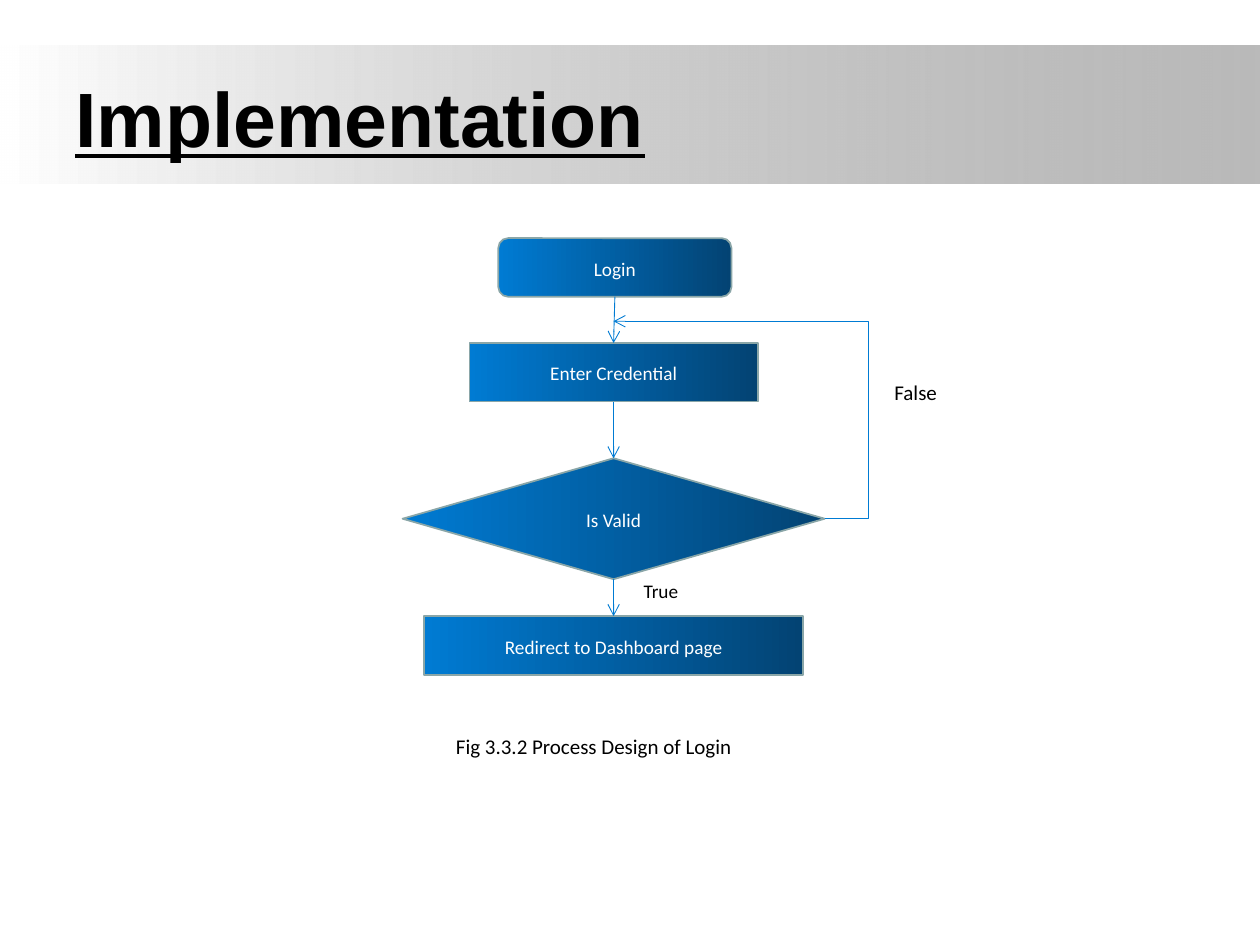
import pptx
import pptx.dml.color
import pptx.enum.shapes
import pptx.enum.text
import pptx.oxml
import pptx.oxml.ns
import pptx.util
from lxml import etree

RGBColor = pptx.dml.color.RGBColor
SHAPE = pptx.enum.shapes.MSO_SHAPE
CONNECTOR = pptx.enum.shapes.MSO_CONNECTOR
ANCHOR = pptx.enum.text.MSO_ANCHOR
ALIGN = pptx.enum.text.PP_ALIGN
Pt = pptx.util.Pt
qn = pptx.oxml.ns.qn

WHITE = RGBColor(0xFF, 0xFF, 0xFF)
BLACK = RGBColor(0x00, 0x00, 0x00)
GRAY = RGBColor(0x80, 0x80, 0x80)
BLUE = RGBColor(0x00, 0x7B, 0xD3)
NAVY = RGBColor(0x03, 0x43, 0x73)
EDGE = RGBColor(0x8A, 0xA6, 0xA8)

deck = pptx.Presentation()
deck.slide_width = pptx.util.Inches(10)
deck.slide_height = pptx.util.Inches(7.5)
COL = deck.slide_width / 100
ROW = deck.slide_height / 100
slide = deck.slides.add_slide(deck.slide_layouts[6])
shapes = slide.shapes


def grid(left, top, width, height):
    """Turn columns and rows of a 100 by 100 grid into slide lengths."""
    return int(left * COL), int(top * ROW), int(width * COL), int(height * ROW)


def write(holder, text, size, color, font="Calibri", anchor=ANCHOR.TOP, align=ALIGN.LEFT):
    frame = holder.text_frame
    frame.word_wrap = True
    frame.vertical_anchor = anchor
    paragraph = frame.paragraphs[0]
    paragraph.alignment = align
    if font == "Calibri":
        paragraph.line_spacing = 1.08
        paragraph.space_after = Pt(8)
    run = paragraph.add_run()
    run.text = text
    run.font.size = Pt(size)
    run.font.name = font
    run.font.color.rgb = color
    return run


# Title over a band that fades in from the left
band = shapes.add_shape(SHAPE.RECTANGLE, *grid(0, 4.8, 100, 14.67))
band.shadow.inherit = False
band.line.fill.background()
band.fill.gradient()
band.fill.gradient_angle = 0
for stop, color in zip(band.fill.gradient_stops, (WHITE, GRAY)):
    stop.color.rgb = color
gray_stop = band._element.spPr.findall(".//" + qn("a:srgbClr"))[-1]
etree.SubElement(gray_stop, qn("a:alpha")).set("val", "54000")

title = shapes.add_textbox(*grid(5, 4, 90, 16.67))
heading = write(title, "Implementation", 44, BLACK, "Arial", ANCHOR.MIDDLE)
heading.font.bold = True
heading.font.underline = True

# Flow steps, centred on one axis: text, outline, top, width, height
AXIS = 48.7
STEP_HEIGHT = 6.2
steps = []
for text, outline, top, width, height in (
    ("Login", SHAPE.ROUNDED_RECTANGLE, 25.2, 18.5, STEP_HEIGHT),
    ("Enter Credential", SHAPE.RECTANGLE, 36.3, 22.9, STEP_HEIGHT),
    ("Is Valid", SHAPE.DIAMOND, 48.5, 33.5, 12.8),
    ("Redirect to Dashboard page", SHAPE.RECTANGLE, 65.2, 30.1, STEP_HEIGHT),
):
    step = shapes.add_shape(outline, *grid(AXIS - width / 2, top, width, height))
    step.shadow.inherit = False
    step.fill.gradient()
    step.fill.gradient_angle = 0
    for stop, color in zip(step.fill.gradient_stops, (BLUE, NAVY)):
        stop.color.rgb = color
    step.line.color.rgb = EDGE
    step.line.width = Pt(1)
    write(step, text, 11, WHITE, anchor=ANCHOR.MIDDLE, align=ALIGN.CENTER)
    steps.append(step)
login, credential, decision, dashboard = steps
login.left += int(0.1 * COL)

# Arrows down the axis, then the loop back when the check fails
arrows = []
for upper, lower in zip(steps, steps[1:]):
    arrow = shapes.add_connector(CONNECTOR.STRAIGHT, 0, 0, 0, 0)
    arrow.begin_connect(upper, 2)
    arrow.end_connect(lower, 0)
    arrows.append(arrow)

retry = shapes.add_connector(
    CONNECTOR.ELBOW,
    decision.left + decision.width,
    decision.top + decision.height // 2,
    int(AXIS * COL),
    int(34 * ROW),
)
retry.adjustments = None
bend = retry._element.spPr.find(qn("a:prstGeom")).get_or_add_avLst()
guide = etree.SubElement(bend, qn("a:gd"))
guide.set("name", "adj1")
guide.set("fmla", "val -20800")

for arrow in arrows + [retry]:
    arrow.line.color.rgb = BLUE
    arrow.line.width = Pt(0.5)
    etree.SubElement(arrow.line._get_or_add_ln(), qn("a:tailEnd")).set("type", "arrow")
    etree.SubElement(arrow._element.spPr, qn("a:effectLst"))

# Branch labels and caption
for text, size, box in (
    ("False", 12, (70, 39.3, 13.4, 5.6)),
    ("True", 11, (50.1, 60.4, 13.4, 4.8)),
    ("Fig 3.3.2 Process Design of Login", 12, (35.2, 76.8, 33.9, 7.9)),
):
    write(shapes.add_textbox(*grid(*box)), text, size, BLACK)

deck.save("out.pptx")
